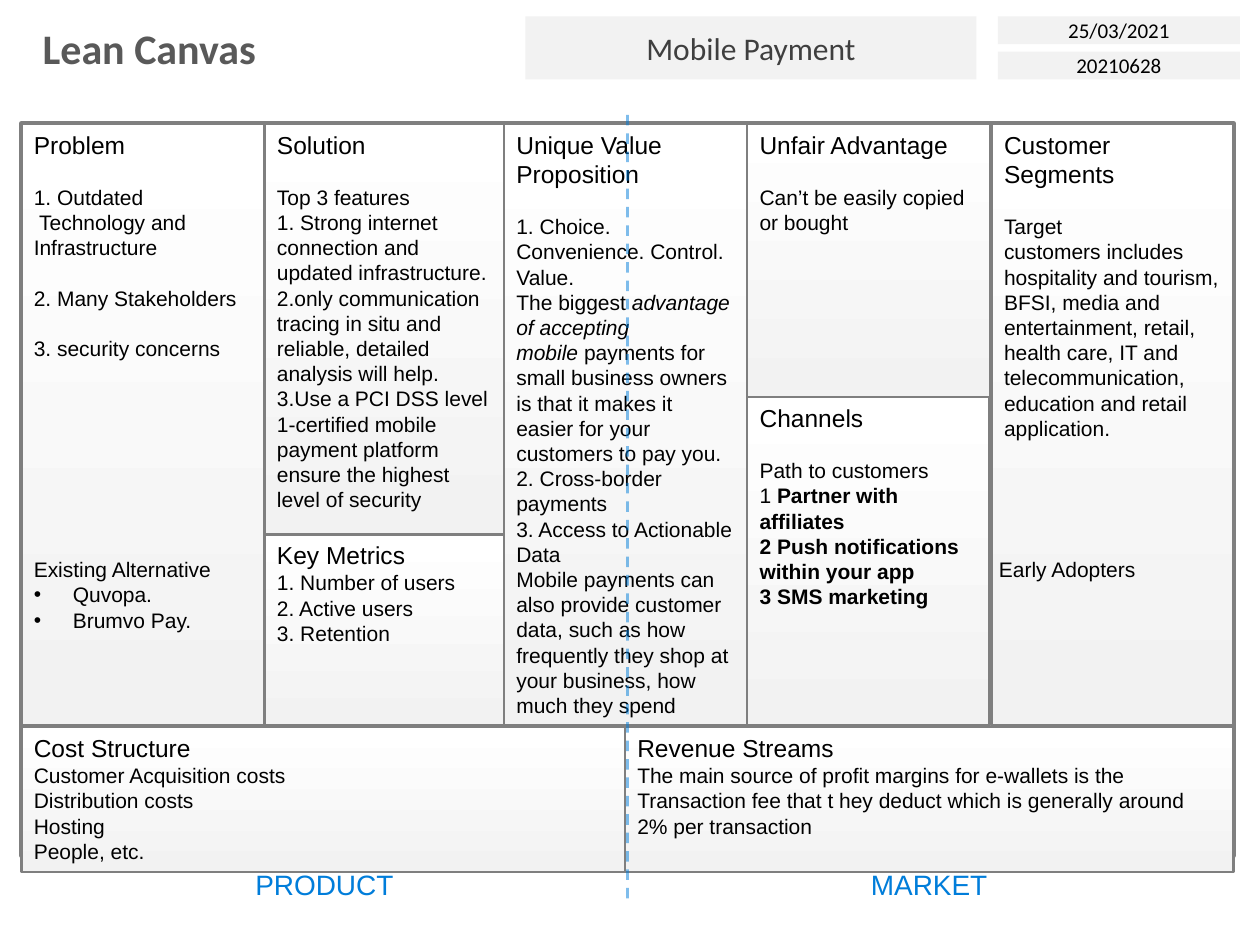
import pptx
import pptx.util
import pptx.dml.color
import pptx.enum.dml
import pptx.enum.shapes
import pptx.enum.text
import pptx.oxml
import pptx.oxml.ns
import lxml.etree

PX = 9144
THEME = {
    "ink": "000000", "title": "595959", "subtitle": "3F3F3F", "border": "7F7F7F",
    "panel": "F2F2F2", "paper": "FFFFFF", "accent": "007DDA",
    "heading_size": 14, "body_size": 12, "title_size": 24, "subtitle_size": 18,
    "footer_size": 16, "line_gap": 14.4, "canvas_font": "Arial", "header_font": "Calibri",
}
LEFT = pptx.enum.text.PP_ALIGN.LEFT
CENTER = pptx.enum.text.PP_ALIGN.CENTER
TOP = pptx.enum.text.MSO_ANCHOR.TOP
MIDDLE = pptx.enum.text.MSO_ANCHOR.MIDDLE
ROUNDED = pptx.enum.shapes.MSO_SHAPE.ROUNDED_RECTANGLE
RECTANGLE = pptx.enum.shapes.MSO_SHAPE.RECTANGLE

presentation = pptx.Presentation()
presentation.slide_width, presentation.slide_height = 1000 * PX, 750 * PX
slide = presentation.slides.add_slide(presentation.slide_layouts[6])


def add_panel(kind, bounds, fill=None, line_width=0):
    shape = slide.shapes.add_shape(kind, *(value * PX for value in bounds))
    shape.shadow.inherit = False
    if kind == ROUNDED:
        shape.adjustments[0] = 0
    if fill == "gradient":
        shape.fill.gradient()
        shape.fill.gradient_angle = 90
        for stop, name in zip(shape.fill.gradient_stops, ("panel", "paper")):
            stop.color.rgb = pptx.dml.color.RGBColor.from_string(THEME[name])
    elif fill:
        shape.fill.solid()
        shape.fill.fore_color.rgb = pptx.dml.color.RGBColor.from_string(THEME[fill])
    else:
        shape.fill.background()
    if line_width:
        shape.line.color.rgb = pptx.dml.color.RGBColor.from_string(THEME["border"])
        shape.line.width = pptx.util.Pt(line_width)
    else:
        shape.line.fill.background()
    return shape


def write(shape, paragraphs, font, color="ink", align=LEFT, anchor=TOP):
    frame = shape.text_frame
    settings = {"word_wrap": True, "vertical_anchor": anchor, "margin_left": 10 * PX,
                "margin_right": 10 * PX, "margin_top": 5 * PX, "margin_bottom": 5 * PX}
    for name, value in settings.items():
        setattr(frame, name, value)
    for index, (size, gap, runs) in enumerate(paragraphs):
        paragraph = frame.paragraphs[0] if index == 0 else frame.add_paragraph()
        paragraph.alignment = align
        paragraph.space_before = pptx.util.Pt(gap)
        for content, style in runs:
            for row, part in enumerate(content.split("\n")):
                if row:
                    paragraph.add_line_break()
                run = paragraph.add_run()
                run.text = part
                formats = {"name": THEME[font], "size": pptx.util.Pt(THEME[size]), **style}
                for name, value in formats.items():
                    setattr(run.font, name, value)
                run.font.color.rgb = pptx.dml.color.RGBColor.from_string(THEME[color])


title = slide.shapes.add_textbox(24 * PX, 13 * PX, 192 * PX, 50 * PX)
write(title, [("title_size", 0, [("Lean Canvas", {"bold": True})])], "header_font", "title")
add_panel(ROUNDED, (17, 98, 962, 581), line_width=3)

header_boxes = [
    ((417, 13, 358, 50), "Mobile Payment", "subtitle_size", "subtitle"),
    ((792, 13, 192, 22), "25/03/2021", "body_size", "ink"),
    ((792, 41, 192, 22), "20210628", "body_size", "ink"),
]
for bounds, content, size, color in header_boxes:
    header = add_panel(RECTANGLE, bounds, "panel")
    write(header, [(size, 0, [(content, {})])], "header_font", color, CENTER, MIDDLE)

BOLD, ITALIC = {"bold": True}, {"italic": True}
canvas_boxes = [
    ((17, 577, 480, 115), "Cost Structure", [], [
        "Customer Acquisition costs", "Distribution costs", "Hosting", "People, etc."]),
    ((496, 577, 483, 115), "Revenue Streams", [], [
        "The main source of profit margins for e-wallets is the Transaction fee that t hey "
        "deduct which is generally around 2% per transaction"]),
    ((17, 98, 193, 478), "Problem", [0, 1, 2], [
        "1. Outdated\n Technology and Infrastructure", "2. Many Stakeholders",
        "3. security concerns"]),
    ((210, 98, 193, 326), "Solution", [0], [
        "Top 3 features", "1. Strong internet connection and updated infrastructure.",
        "2.only communication tracing in situ and reliable, detailed analysis will help.",
        "3.Use a PCI DSS level 1-certified mobile payment platform ensure the highest level "
        "of security"]),
    ((210, 424, 193, 152), "Key Metrics", [], [
        "1. Number of users", "2. Active users", "3. Retention"]),
    ((400, 98, 193, 478), "Unique Value Proposition", [0], [
        "1. Choice. Convenience. Control. Value.",
        [("The biggest ", {}), ("advantage of accepting\nmobile", ITALIC),
         (" payments for small business owners is that it makes it easier for your "
          "customers to pay you.", {})],
        "2. Cross-border payments", "3. Access to Actionable Data",
        "Mobile payments can also provide customer data, such as how frequently they shop "
        "at your business, how much they spend"]),
    ((593, 98, 193, 217), "Unfair Advantage", [0], ["Can’t be easily copied or bought"]),
    ((593, 315, 192, 261), "Channels", [0], [
        "Path to customers", [("1", {}), (" Partner with affiliates", BOLD)],
        [("2 Push notifications within your app", BOLD)], [("3 SMS marketing", BOLD)]]),
    ((787, 98, 192, 478), "Customer Segments", [0], [
        "Target\ncustomers includes hospitality and tourism, BFSI, media and entertainment, "
        "retail, health care, IT and telecommunication, education and retail application."]),
]
for bounds, heading, spaced, entries in canvas_boxes:
    box = add_panel(ROUNDED, bounds, "gradient", 1.5)
    paragraphs = [("heading_size", 0, [(heading, {})])]
    for index, entry in enumerate(entries):
        runs = [(entry, {})] if isinstance(entry, str) else entry
        paragraphs.append(("body_size", THEME["line_gap"] if index in spaced else 0, runs))
    write(box, paragraphs, "canvas_font")

for left, width, label in ((192, 131, "PRODUCT"), (681, 113, "MARKET")):
    footer = slide.shapes.add_textbox(left * PX, 684 * PX, width * PX, 37 * PX)
    write(footer, [("footer_size", 0, [(label, {})])], "canvas_font", "accent", CENTER)

divider = slide.shapes.add_connector(
    pptx.enum.shapes.MSO_CONNECTOR.STRAIGHT, 498 * PX, 713 * PX, 498 * PX, 86 * PX)
divider.line.color.rgb = pptx.dml.color.RGBColor.from_string(THEME["accent"])
divider.line.width = pptx.util.Pt(1.5)
divider.line.dash_style = pptx.enum.dml.MSO_LINE.DASH
color_node = next(divider.element.iter(pptx.oxml.ns.qn("a:srgbClr")))
lxml.etree.SubElement(color_node, pptx.oxml.ns.qn("a:alpha"), val="50000")
lxml.etree.SubElement(divider.element.spPr, pptx.oxml.ns.qn("a:effectLst"))

notes = [
    ((17, 437, 193, 96), ["Existing Alternative", "Quvopa.", "Brumvo Pay."]),
    ((783, 437, 193, 132), ["Early Adopters"]),
]
for bounds, entries in notes:
    note = add_panel(ROUNDED, bounds)
    write(note, [("body_size", 0, [(entry, {})]) for entry in entries], "canvas_font")
    for paragraph in note.text_frame.paragraphs[1:]:
        properties = paragraph._p.get_or_add_pPr()
        properties.set("marL", str(31 * PX))
        properties.set("indent", str(-31 * PX))
        lxml.etree.SubElement(
            properties, pptx.oxml.ns.qn("a:buFont"), typeface=THEME["canvas_font"])
        lxml.etree.SubElement(properties, pptx.oxml.ns.qn("a:buChar"), char="•")

presentation.save("out.pptx")
